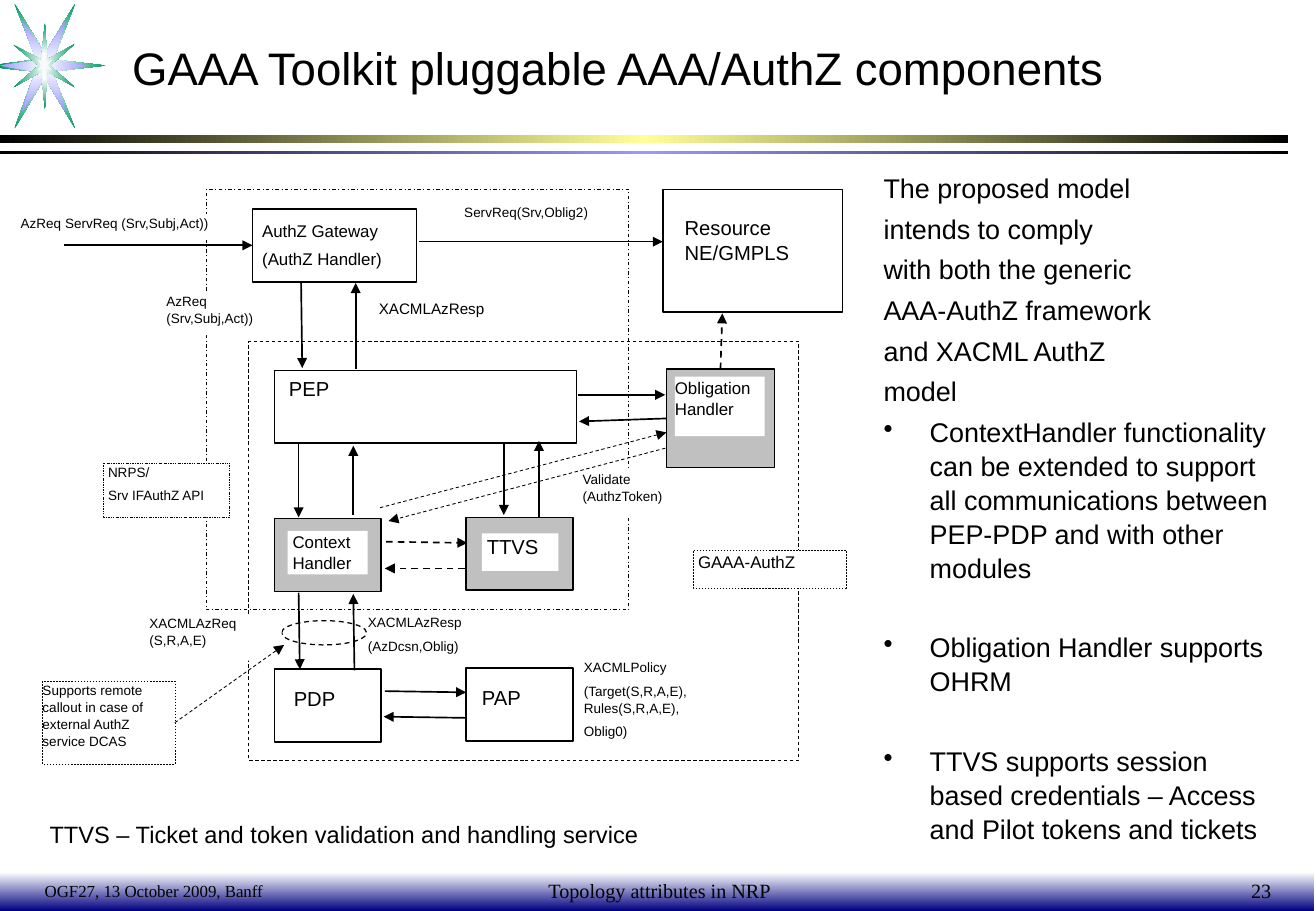
from copy import deepcopy

from lxml import etree
from pptx import Presentation
from pptx.dml.color import RGBColor
from pptx.enum.dml import MSO_LINE
from pptx.enum.shapes import MSO_CONNECTOR, MSO_SHAPE
from pptx.enum.text import MSO_ANCHOR, PP_ALIGN
from pptx.oxml.ns import qn
from pptx.util import Inches, Pt

RECT, OVAL = MSO_SHAPE.RECTANGLE, MSO_SHAPE.OVAL
STRAIGHT = MSO_CONNECTOR.STRAIGHT
DASH, DASH_DOT = MSO_LINE.DASH, MSO_LINE.DASH_DOT
TOP, MIDDLE = MSO_ANCHOR.TOP, MSO_ANCHOR.MIDDLE
LEFT, CENTER, RIGHT = PP_ALIGN.LEFT, PP_ALIGN.CENTER, PP_ALIGN.RIGHT
BLACK, WHITE, GREY, NAVY = "000000", "FFFFFF", "C0C0C0", "000080"
CELL = Inches(0.1)
COLS, ROWS = 108.4, 75

prs = Presentation()
prs.slide_width, prs.slide_height = int(COLS * CELL), ROWS * CELL
slide = prs.slides.add_slide(prs.slide_layouts[6])
shapes = slide.shapes


def paint(fill, *colours):
    if len(colours) == 1:
        fill.solid()
        fill.fore_color.rgb = RGBColor.from_string(colours[0])
        return
    for i, (stop, colour) in enumerate(zip(fill.gradient_stops, colours)):
        stop.color.rgb = RGBColor.from_string(colour)
        stop.position = i / (len(colours) - 1)


def write(shape, text, size=10, font="Arial", align=LEFT, anchor=TOP,
          inset=(0, 0), before=0, after=0, leading=1.05, wrap=True):
    frame = shape.text_frame
    frame.word_wrap = wrap
    frame.vertical_anchor = anchor
    frame.margin_left = frame.margin_right = Inches(inset[0])
    frame.margin_top = frame.margin_bottom = Inches(inset[1])
    for i, line in enumerate(text.split("\n")):
        paragraph = frame.paragraphs[0] if i == 0 else frame.add_paragraph()
        paragraph.alignment = align
        paragraph.line_spacing = leading
        paragraph.space_before = Pt(before if i else 0)
        paragraph.space_after = Pt(after)
        run = paragraph.add_run()
        run.text = line
        run.font.size, run.font.name = Pt(size), font
        paint(run.font.fill, BLACK)
    return frame


bands = [
    ((0, 71.8, 108.2, 3.2), (WHITE, NAVY), 270),
    ((0, 11.1, 106.1, 0.7), (BLACK, "FFFF99", BLACK), 0),
    ((0, 12.4, 106.1, 0.3), (BLACK, "9999FF", BLACK), 0),
]
for box, colours, angle in bands:
    band = shapes.add_shape(RECT, *[int(v * CELL) for v in box])
    band.shadow.inherit = False
    band.line.fill.background()
    band.fill.gradient()
    band.fill.gradient_angle = angle
    stops = band._element.spPr.find(".//" + qn("a:gsLst"))
    if len(colours) == 3:
        stops.append(deepcopy(stops[0]))
    paint(band.fill, *colours)

star_layers = [
    ([(30, 49), (12, 3), (37, 44), (62, 3), (44, 49), (87, 54), (43, 59), (62, 106),
      (37, 64), (12, 106), (29, 59), (0, 56), (0, 53)], (WHITE, "009966")),
    ([(30, 50), (18, 17), (37, 44), (54, 17), (44, 50), (73, 54), (44, 59), (54, 92),
      (37, 64), (18, 92), (29, 59), (0, 54)], (WHITE, "9999FF")),
    ([(11, 37), (34, 49), (37, 19), (39, 49), (62, 36), (41, 54), (62, 72), (39, 59),
      (37, 90), (34, 59), (11, 72), (32, 54)], (WHITE, "009966")),
    ([(31, 49), (36, 52), (37, 45), (38, 52), (43, 49), (39, 54), (43, 58), (38, 56),
      (37, 63), (36, 56), (31, 58), (34, 54)], ("F9F9F9",)),
]
for points, colours in star_layers:
    outline = shapes.build_freeform(*points[0], scale=CELL / 10)
    outline.add_line_segments(points[1:], close=True)
    star = outline.convert_to_shape()
    star.shadow.inherit = False
    star.line.fill.background()
    if len(colours) == 2:
        star.fill.gradient()
        gradient = star._element.spPr.find(qn("a:gradFill"))
        gradient.remove(gradient.find(qn("a:lin")))
        focus = etree.SubElement(gradient, qn("a:path"), {"path": "rect"})
        etree.SubElement(focus, qn("a:fillToRect"), {s: "50000" for s in "ltrb"})
    paint(star.fill, *colours)

NODE_W, NODE_H = 8.8, 6
LEFT_COL, MID_COL = 22.6, 38.4
nodes = {
    "authz frame": (RECT, (17, 15.6, 34.8, 34.6), None, 0.5, DASH_DOT),
    "gaaa frame": (RECT, (20.5, 28.1, 45.3, 34.5), None, 0.5, DASH),
    "gateway": (RECT, (20.8, 17.2, 13.5, NODE_H), WHITE, 1, None),
    "pep": (RECT, (LEFT_COL, 30.5, 24.9, NODE_H), WHITE, 1, None),
    "context": (RECT, (LEFT_COL, 42.7, NODE_W, NODE_H), GREY, 1, None),
    "ttvs": (RECT, (MID_COL, 42.6, NODE_W, NODE_H), GREY, 1, None),
    "pdp": (RECT, (LEFT_COL, 55.1, NODE_W, NODE_H), WHITE, 1, None),
    "pap": (RECT, (MID_COL, 55, NODE_W, NODE_H), WHITE, 1, None),
    "obligation": (RECT, (54.9, 30.4, 8.9, 8.1), GREY, 1, None),
    "resource": (RECT, (54.6, 15.6, 14.8, 10.1), WHITE, 1, None),
    "nrps": (RECT, (8.5, 38.1, 10.4, 4.5), WHITE, 0.25, DASH_DOT),
    "gaaa": (RECT, (57.1, 45.3, 12.6, 3.1), WHITE, 0.25, DASH),
    "callout": (RECT, (3.5, 56.1, 10.9, 6.8), WHITE, 0.25, DASH),
    "exchange": (OVAL, (23.2, 51.1, 7, 2), None, 0.75, DASH),
}
for name, (kind, box, colour, width, dash) in nodes.items():
    node = shapes.add_shape(kind, *[int(v * CELL) for v in box])
    node.shadow.inherit = False
    if colour:
        paint(node.fill, colour)
    else:
        node.fill.background()
    paint(node.line.fill, BLACK)
    node.line.width = Pt(width)
    if dash:
        node.line.dash_style = dash
    nodes[name] = node

write(nodes["nrps"], "NRPS/\nSrv IFAuthZ API", size=8, inset=(0.04, 0), before=2, after=2)
write(nodes["gaaa"], "GAAA-AuthZ", inset=(0.04, 0))
write(nodes["callout"], "Supports remote callout in case of external AuthZ service DCAS", size=8)

labels = [
    ((55.6, 31, 7.4, 4.9), "Obligation Handler", 10, 0),
    ((23.7, 43.7, 6.6, 3.6), "Context Handler", 10, 0.04),
    ((23.4, 30.9, 6.3, 4.7), "PEP", 12, 0.04),
    ((39.3, 56.3, 6.3, 3.1), "PAP", 12, 0.04),
    ((23.8, 56.4, 6.3, 3.1), "PDP", 12, 0.04),
    ((39.7, 43.9, 6.3, 3.1), "TTVS", 12, 0.04),
    ((21.2, 18.1, 12, 4.4), "AuthZ Gateway\n(AuthZ Handler)", 10, 0.04),
    ((56.4, 17.6, 10.6, 5.7), "Resource NE/GMPLS", 12, 0),
    ((30.3, 50.5, 10.7, 3.9), "XACMLAzResp\n(AzDcsn,Oblig)", 8, 0),
    ((36.8, 16.7, 13.1, 1.5), "ServReq(Srv,Oblig2)", 8, 0),
    ((13.7, 24.1, 9.3, 3.5), "AzReq (Srv,Subj,Act))", 8, 0),
    ((48, 38.7, 8.7, 3.9), "Validate (AuthzToken)", 8, 0),
    ((31.2, 24.6, 13.8, 2.5), "XACMLAzResp", 9, 0),
    ((48.1, 54.2, 11.1, 7.7), "XACMLPolicy\n(Target(S,R,A,E), Rules(S,R,A,E),\nOblig0)", 8, 0),
    ((12.3, 50.6, 10.9, 3.8), "XACMLAzReq (S,R,A,E)", 8, 0),
    ((1.7, 17.6, 17.8, 1.9), "AzReq ServReq (Srv,Subj,Act))", 8, 0),
]
for box, text, size, side in labels:
    label = shapes.add_shape(RECT, *[int(v * CELL) for v in box])
    label.shadow.inherit = False
    label.line.fill.background()
    paint(label.fill, WHITE)
    write(label, text, size=size, inset=(side, 0), before=2, after=2,
          align=CENTER if text.startswith("ServReq") else LEFT)

arrows = [
    ((5.3, 20.2), (20.7, 20.2), 1, None, None, ("gateway", 1)),
    ((34.5, 19.9), (54.6, 19.9), 0.75, None, None, None),
    ((24.8, 23.2), (24.9, 30.3), 1, None, None, None),
    ((29.3, 30.4), (29.3, 23.3), 1, None, None, None),
    ((24.6, 36.5), (24.6, 42.6), 1, None, None, None),
    ((29.1, 42.4), (29.1, 36.7), 1, None, None, None),
    ((41.5, 36.4), (41.5, 42.4), 1, None, None, None),
    ((44.4, 42.6), (44.4, 36.3), 1, None, None, None),
    ((47.6, 32.5), (54.8, 32.5), 1, None, None, None),
    ((55, 34.6), (47.7, 34.7), 1, None, ("obligation", 1), None),
    ((59.5, 30.5), (59.5, 25.8), 1, DASH, ("obligation", 0), None),
    ((31.8, 44.6), (38.5, 44.7), 1, DASH, None, None),
    ((38.3, 46.8), (31.7, 46.8), 1, DASH, None, None),
    ((24.6, 48.8), (24.7, 55.1), 1, None, None, None),
    ((29.2, 55.2), (29.1, 48.9), 1, None, None, None),
    ((31.7, 56.9), (38.4, 57), 1, None, None, None),
    ((38.3, 59.1), (31.6, 59), 1, None, None, None),
    ((14.7, 59.8), (23.4, 53.1), 0.5, DASH, ("callout", 3), None),
    ((31.3, 41.8), (54.9, 35.6), 0.5, DASH, None, None),
    ((54.8, 36.9), (32, 42.9), 0.5, DASH, None, None),
]
for start, end, width, dash, source, target in arrows:
    arrow = shapes.add_connector(STRAIGHT, *[int(v * CELL) for v in start + end])
    paint(arrow.line.fill, BLACK)
    arrow.line.width = Pt(width)
    if dash:
        arrow.line.dash_style = dash
    etree.SubElement(arrow.line._get_or_add_ln(), qn("a:tailEnd"), {"type": "triangle"})
    etree.SubElement(arrow._element.spPr, qn("a:effectLst"))
    if source:
        arrow.begin_connect(nodes[source[0]], source[1])
    if target:
        arrow.end_connect(nodes[target[0]], target[1])

proposal = """The proposed model
intends to comply
with both the generic
AAA-AuthZ framework
and XACML AuthZ
model
ContextHandler functionality can be extended to support all communications between PEP-PDP and with other modules
Obligation Handler supports OHRM
TTVS supports session based credentials – Access and Pilot tokens and tickets"""
SERIF = {"font": "Times New Roman", "anchor": MIDDLE, "leading": 1}
texts = [
    ((9.9, 2.1, 96.5, 6.7), "GAAA Toolkit pluggable AAA/AuthZ components", {"size": 27, "anchor": MIDDLE}),
    ((3.1, 66.9, 50.6, 3.4), "TTVS – Ticket and token validation and handling service", {"size": 14, "wrap": False}),
    ((2.7, 71.7, 28.9, 3.3), "OGF27, 13 October 2009, Banff", SERIF),
    ((37.2, 71.7, 34.3, 3.3), "Topology attributes in NRP", {**SERIF, "size": 12, "align": CENTER}),
    ((83.2, 71.7, 22.5, 3.3), "23", {**SERIF, "size": 12, "align": RIGHT}),
    ((71.8, 13.5, 34.8, 54.3), proposal, {"size": 16, "before": 4}),
]
for box, text, style in texts:
    area = shapes.add_textbox(*[int(v * CELL) for v in box])
    frame = write(area, text, inset=(0.1, 0.05), **style)

for i, point in enumerate(frame.paragraphs[6:]):
    point.space_before = Pt(27 if i else 4)
    properties = point._p.get_or_add_pPr()
    properties.set("marL", str(Inches(0.38)))
    properties.set("indent", str(-Inches(0.38)))
    etree.SubElement(properties, qn("a:buChar"), {"char": "•"})

prs.save("out.pptx")
